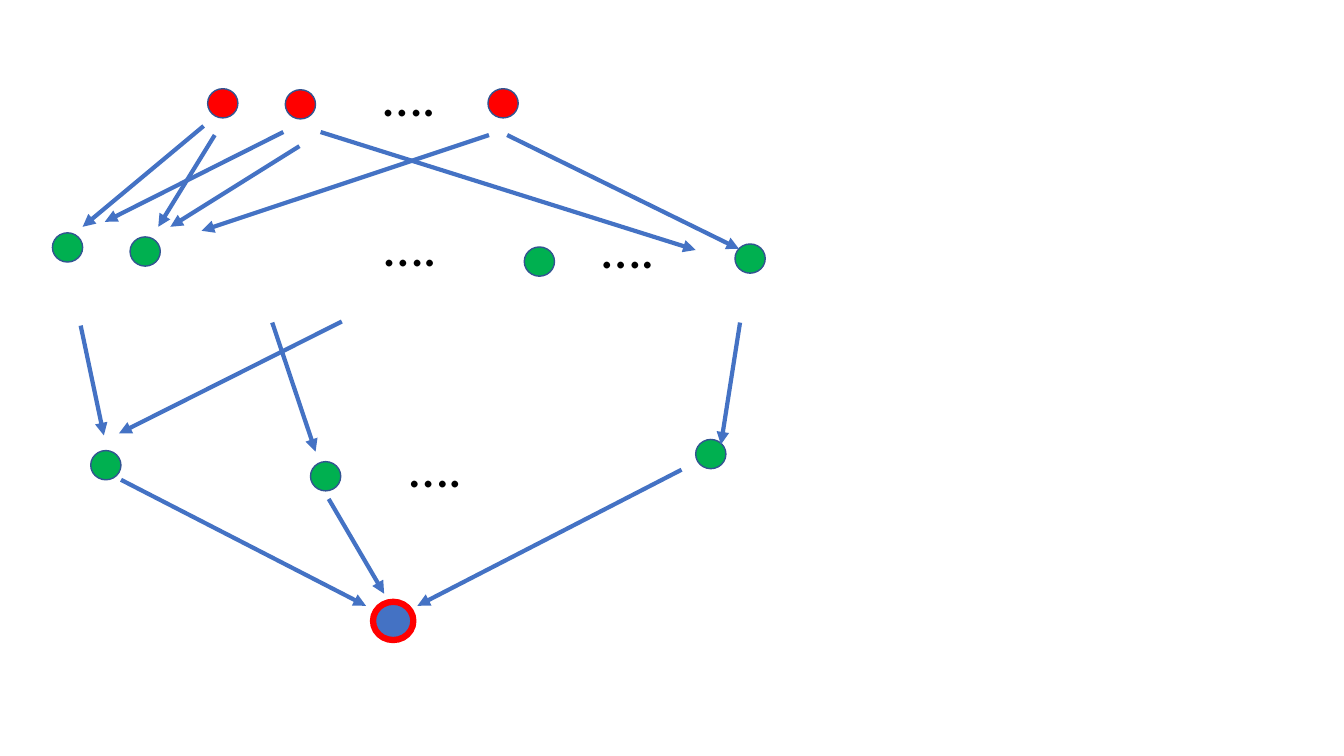
from lxml import etree
from pptx import Presentation
from pptx.dml.color import RGBColor
from pptx.enum.shapes import MSO_CONNECTOR, MSO_SHAPE
from pptx.enum.text import MSO_AUTO_SIZE
from pptx.oxml.ns import qn
from pptx.util import Emu, Pt

ELLIPSE = MSO_SHAPE.OVAL
STRAIGHT = MSO_CONNECTOR.STRAIGHT
GROW_TO_TEXT = MSO_AUTO_SIZE.SHAPE_TO_FIT_TEXT

EMU_PER_PX = 9144  # 100 px to the inch
SLIDE_SIZE = (1333, 750)
NODE_SIZE = (30, 29)
OUTPUT_SIZE = (40, 38)
DOTS_SIZE = (103, 77)

COLOURS = {
    "input": "FF0000",
    "hidden": "00B050",
    "output": "4472C4",
    "node_line": "325491",
    "output_line": "FF0000",
    "arrow": "4472C4",
    "text": "000000",
}

# Left and top of each node or ellipsis
INPUT_NODES = [(206, 88), (283, 89), (484, 88)]
INPUT_DOTS = (370, 55)
HIDDEN_NODES = [
    (52, 231), (129, 235), (520, 245), (729, 242),  # first hidden layer
    (90, 447), (308, 458), (690, 436),  # second hidden layer
]
HIDDEN_DOTS = [(371, 204), (587, 206), (396, 423)]
OUTPUT_NODE = (370, 597)

# Start x, start y, end x, end y
ARROWS = [
    # inputs to first hidden layer
    (202, 125, 82, 225), (297, 145, 169, 225), (503, 134, 733, 247),
    (213, 134, 157, 225), (281, 131, 104, 220), (318, 131, 690, 248),
    (485, 134, 200, 229),
    # first to second hidden layer
    (80, 323, 103, 432), (339, 319, 118, 430), (270, 320, 313, 448),
    (734, 320, 715, 441),
    # second hidden layer to output
    (120, 476, 363, 601), (326, 495, 381, 589), (676, 466, 414, 601),
]


def px(*lengths):
    return [Emu(length * EMU_PER_PX) for length in lengths]


def colour(name):
    return RGBColor.from_string(COLOURS[name])


def add_node(shapes, position, fill, size=NODE_SIZE, line="node_line", line_width=1):
    node = shapes.add_shape(ELLIPSE, *px(*position, *size))
    node.shadow.inherit = False
    node.fill.solid()
    node.fill.fore_color.rgb = colour(fill)
    node.line.color.rgb = colour(line)
    node.line.width = Pt(line_width)


def add_dots(shapes, position):
    """Add the ellipsis that stands for the omitted nodes of a layer."""
    box = shapes.add_textbox(*px(*position, *DOTS_SIZE))
    frame = box.text_frame
    frame.word_wrap = True
    frame.auto_size = GROW_TO_TEXT
    paragraph = frame.paragraphs[0]
    paragraph.text = "…."
    paragraph.font.name = "Calibri"
    paragraph.font.size = Pt(40)
    paragraph.font.color.rgb = colour("text")


def add_arrow(shapes, ends):
    arrow = shapes.add_connector(STRAIGHT, *px(*ends))
    arrow.line.color.rgb = colour("arrow")
    arrow.line.width = Pt(3)
    properties = arrow._element.spPr
    etree.SubElement(properties.find(qn("a:ln")), qn("a:tailEnd"), type="triangle")
    etree.SubElement(properties, qn("a:effectLst"))


def main():
    presentation = Presentation()
    presentation.slide_width, presentation.slide_height = px(*SLIDE_SIZE)
    slide = presentation.slides.add_slide(presentation.slide_layouts[6])
    shapes = slide.shapes

    input_layer = shapes.add_group_shape().shapes
    for position in INPUT_NODES:
        add_node(input_layer, position, "input")
    add_dots(input_layer, INPUT_DOTS)

    for position in HIDDEN_NODES:
        add_node(shapes, position, "hidden")
    for position in HIDDEN_DOTS:
        add_dots(shapes, position)
    add_node(shapes, OUTPUT_NODE, "output", OUTPUT_SIZE, "output_line", 4.5)

    for ends in ARROWS:
        add_arrow(shapes, ends)

    presentation.save("out.pptx")


if __name__ == "__main__":
    main()
